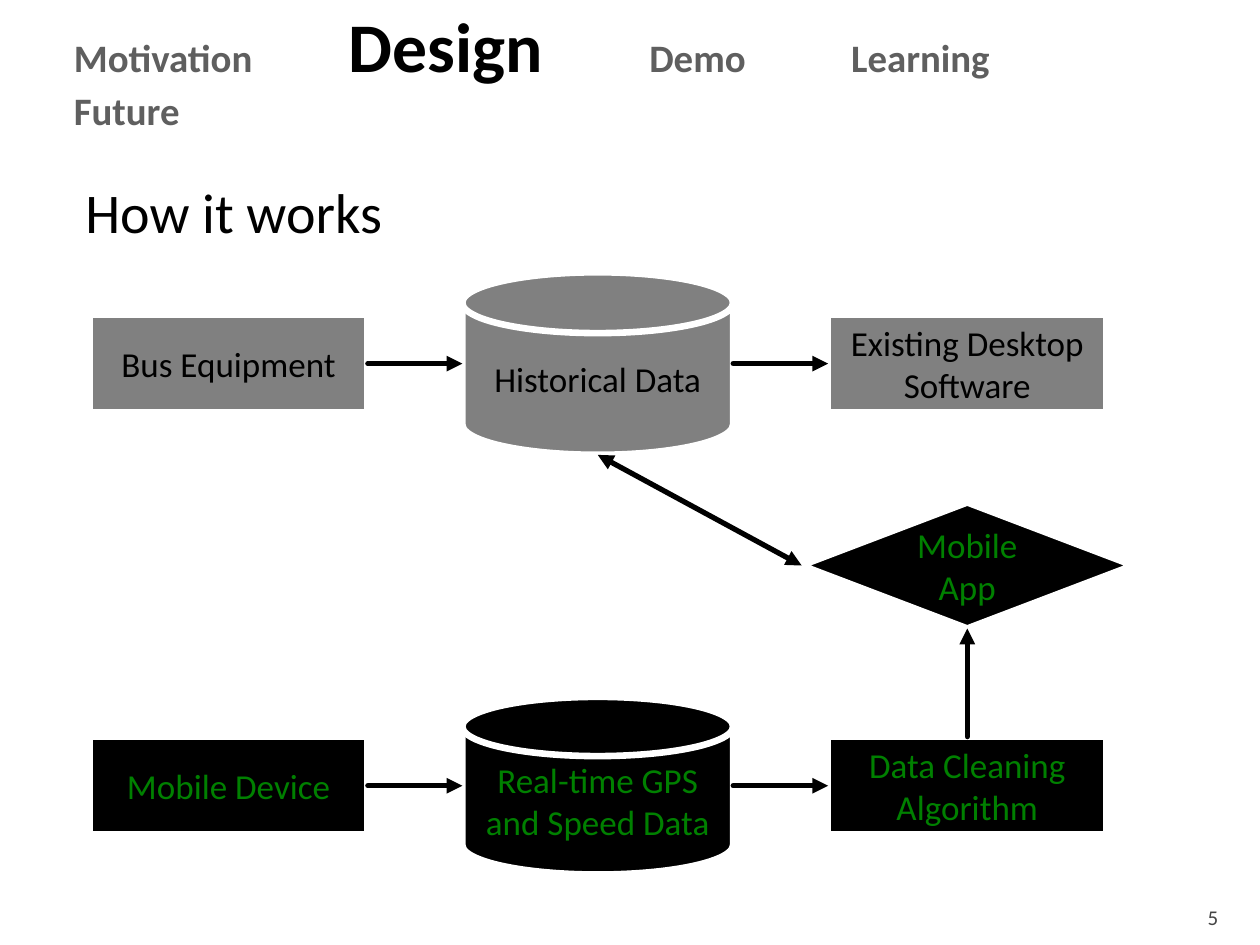
from dataclasses import dataclass

from lxml.etree import SubElement
from pptx import Presentation
from pptx.dml.color import RGBColor
from pptx.enum.shapes import MSO_CONNECTOR, MSO_SHAPE
from pptx.enum.text import MSO_ANCHOR, PP_ALIGN
from pptx.oxml.ns import qn
from pptx.util import Cm, Pt


@dataclass(frozen=True)
class Theme:
    font: str = "Calibri"
    black: RGBColor = RGBColor(0x00, 0x00, 0x00)
    white: RGBColor = RGBColor(0xFF, 0xFF, 0xFF)
    gray: RGBColor = RGBColor(0x80, 0x80, 0x80)
    green: RGBColor = RGBColor(0x00, 0x80, 0x00)
    muted: RGBColor = RGBColor(0x5F, 0x5F, 0x5F)
    footer: RGBColor = RGBColor(0x45, 0x45, 0x45)
    active_size: float = 39.8
    heading_size: float = 32
    menu_size: float = 22.2
    node_size: float = 20
    footer_size: float = 12
    border: float = 3.78
    arrow: float = 3


@dataclass(frozen=True)
class Node:
    """A flowchart box given by its centre and size in centimetres."""
    x: float
    y: float
    width: float
    height: float

    def side(self, name):
        dx, dy = {"left": (-1, 0), "right": (1, 0), "top": (0, -1), "bottom": (0, 1)}[name]
        return Cm(self.x + dx * self.width / 2), Cm(self.y + dy * self.height / 2)


class SlideBuilder:
    def __init__(self, slide, theme):
        self.slide = slide
        self.theme = theme

    def style(self, font, size, color, bold=False):
        font.name = self.theme.font
        font.size = Pt(size)
        font.color.rgb = color
        font.bold = bold

    def text_box(self, left, top, width, height, anchor=MSO_ANCHOR.TOP):
        box = self.slide.shapes.add_textbox(Cm(left), Cm(top), Cm(width), Cm(height))
        frame = box.text_frame
        frame.word_wrap = True
        frame.vertical_anchor = anchor
        return frame

    def label(self, frame, text, size, color, alignment=PP_ALIGN.LEFT):
        paragraph = frame.paragraphs[0]
        paragraph.text = text
        paragraph.alignment = alignment
        self.style(paragraph.font, size, color)

    def menu(self, frame, rows, active, tab_stops):
        paragraph = frame.paragraphs[0]
        properties = paragraph._p.get_or_add_pPr()
        tab_list = SubElement(properties, qn("a:tabLst"))
        for stop in tab_stops:
            SubElement(tab_list, qn("a:tab"), pos=str(Cm(stop)), algn="l")
        for row_number, row in enumerate(rows):
            if row_number:
                paragraph.add_line_break()
            for column, item in enumerate(row):
                run = paragraph.add_run()
                run.text = "\t" + item if column else item
                if item == active:
                    self.style(run.font, self.theme.active_size, self.theme.black, True)
                else:
                    self.style(run.font, self.theme.menu_size, self.theme.muted, True)

    def node(self, kind, node, text, fill, color):
        shape = self.slide.shapes.add_shape(
            kind, node.side("left")[0], node.side("top")[1], Cm(node.width), Cm(node.height))
        shape.shadow.inherit = False
        shape.fill.solid()
        shape.fill.fore_color.rgb = fill
        shape.line.color.rgb = self.theme.white
        shape.line.width = Pt(self.theme.border)
        shape.text_frame.word_wrap = True
        shape.text_frame.vertical_anchor = MSO_ANCHOR.MIDDLE
        self.label(shape.text_frame, text, self.theme.node_size, color, PP_ALIGN.CENTER)

    def arrow(self, start, end, both_ends=False):
        connector = self.slide.shapes.add_connector(MSO_CONNECTOR.STRAIGHT, *start, *end)
        connector.line.color.rgb = self.theme.black
        connector.line.width = Pt(self.theme.arrow)
        line = connector.line._get_or_add_ln()
        line.set("cap", "rnd")
        SubElement(line, qn("a:round"))
        if both_ends:
            SubElement(line, qn("a:headEnd"), type="triangle")
        SubElement(line, qn("a:tailEnd"), type="triangle")
        SubElement(connector._element.spPr, qn("a:effectLst"))


def main():
    presentation = Presentation()
    presentation.slide_width, presentation.slide_height = Cm(25.4), Cm(19.05)
    slide = presentation.slides.add_slide(presentation.slide_layouts[6])
    theme = Theme()
    builder = SlideBuilder(slide, theme)

    # Heading
    heading = builder.text_box(1.24, 3.25, 22.86, 1.8)
    heading.margin_left, heading.margin_top = Cm(0.48), Cm(0.33)
    builder.label(heading, "How it works", theme.heading_size, theme.black)

    # Page number
    page_number = builder.text_box(22.78, 17.98, 2.03, 0.76, MSO_ANCHOR.BOTTOM)
    page_number.margin_bottom = 0
    builder.label(page_number, "5", theme.footer_size, theme.footer, PP_ALIGN.RIGHT)

    # Section menu
    menu = builder.text_box(1.24, 0.2, 22.86, 2.34, MSO_ANCHOR.MIDDLE)
    builder.menu(menu, [["Motivation", "Design", "Demo", "Learning"], ["Future"]],
                 "Design", [5.54, 11.6, 15.67])

    # Two rows of source, store and consumer
    columns = (4.61, 12.05, 19.5)
    rows = (
        (7.33, 3.68, theme.gray, theme.black,
         ("Bus Equipment", "Historical Data", "Existing Desktop Software")),
        (15.84, 3.58, theme.black, theme.green,
         ("Mobile Device", "Real-time GPS and Speed Data", "Data Cleaning Algorithm")),
    )
    flows = []
    for y, disk_height, fill, color, texts in rows:
        source, store, consumer = flow = (
            Node(columns[0], y, 5.61, 1.98),
            Node(columns[1], y, 5.46, disk_height),
            Node(columns[2], y, 5.61, 1.98),
        )
        kinds = (MSO_SHAPE.RECTANGLE, MSO_SHAPE.FLOWCHART_MAGNETIC_DISK, MSO_SHAPE.RECTANGLE)
        for kind, node, text in zip(kinds, flow, texts):
            builder.node(kind, node, text, fill, color)
        flows.append(flow)

    # Mobile app
    app = Node(columns[2], 11.4, 6.68, 2.54)
    builder.node(MSO_SHAPE.FLOWCHART_DECISION, app, "Mobile App", theme.black, theme.green)

    # Arrows
    for source, store, consumer in flows:
        builder.arrow(source.side("right"), store.side("left"))
        builder.arrow(store.side("right"), consumer.side("left"))
    history, cleaning = flows[0][1], flows[1][2]
    builder.arrow(cleaning.side("top"), app.side("bottom"))
    builder.arrow(history.side("bottom"), app.side("left"), both_ends=True)

    presentation.save("out.pptx")


if __name__ == "__main__":
    main()
